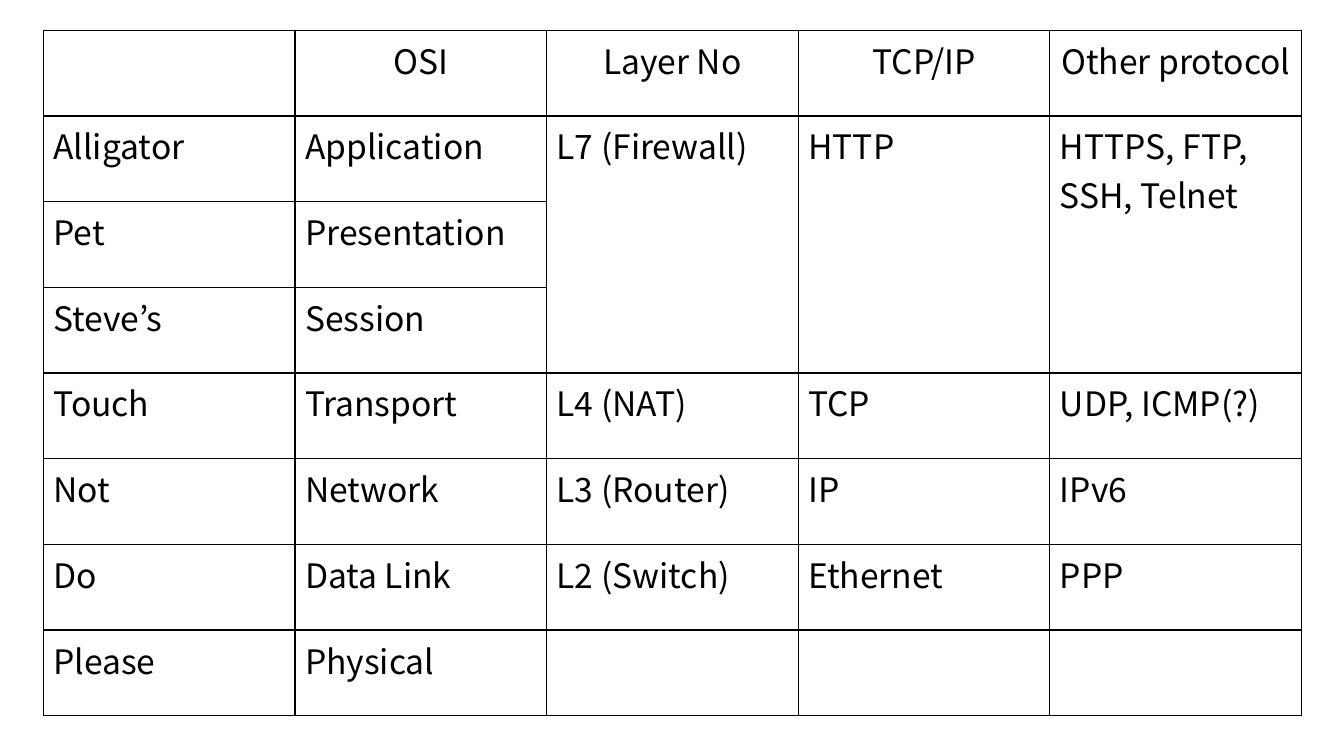
"""Build a slide with a table of OSI layers and their protocols."""
import pptx
import pptx.dml.color
import pptx.enum.text
import pptx.oxml
import pptx.oxml.ns
import pptx.util
from pptx.util import Inches

COLORS = {"ink": "000000", "paper": "FFFFFF"}
FONT = "Noto Sans CJK KR"
ROWS = [
    ["", "OSI", "Layer No", "TCP/IP", "Other protocol"],
    ["Alligator", "Application", "L7 (Firewall)", "HTTP", "HTTPS, FTP,\nSSH, Telnet"],
    ["Pet", "Presentation", "", "", ""],
    ["Steve’s", "Session", "", "", ""],
    ["Touch", "Transport", "L4 (NAT)", "TCP", "UDP, ICMP(?)"],
    ["Not", "Network", "L3 (Router)", "IP", "IPv6"],
    ["Do", "Data Link", "L2 (Switch)", "Ethernet", "PPP"],
    ["Please", "Physical", "", "", ""],
]
WIDTH, HEIGHT = 12.48, 6.8


def add_borders(cell):
    properties = cell._tc.get_or_add_tcPr()
    for side in ("lnL", "lnR", "lnT", "lnB"):
        properties.append(pptx.oxml.parse_xml(
            f'<a:{side} {pptx.oxml.ns.nsdecls("a")} w="{pptx.util.Pt(1)}">'
            f'<a:solidFill><a:srgbClr val="{COLORS["ink"]}"/></a:solidFill></a:{side}>'))


presentation = pptx.Presentation()
presentation.slide_width = Inches(13.33)
presentation.slide_height = Inches(7.5)
slide = presentation.slides.add_slide(presentation.slide_layouts[6])

table = slide.shapes.add_table(
    len(ROWS), len(ROWS[0]), Inches(0.43), Inches(0.3), Inches(WIDTH), Inches(HEIGHT)).table
table.horz_banding = False

for row_index, row in enumerate(ROWS):
    for column_index, text in enumerate(row):
        cell = table.cell(row_index, column_index)
        cell.text = text
        add_borders(cell)
        cell.fill.solid()
        cell.fill.fore_color.rgb = pptx.dml.color.RGBColor.from_string(COLORS["paper"])
        for paragraph in cell.text_frame.paragraphs:
            paragraph.font.name = FONT
            paragraph.font.size = pptx.util.Pt(24)
            paragraph.font.bold = False
            paragraph.font.color.rgb = pptx.dml.color.RGBColor.from_string(COLORS["ink"])
            if row_index == 0:
                paragraph.alignment = pptx.enum.text.PP_ALIGN.CENTER

for column_index in range(2, 5):
    table.cell(1, column_index).merge(table.cell(3, column_index))

presentation.save("out.pptx")
